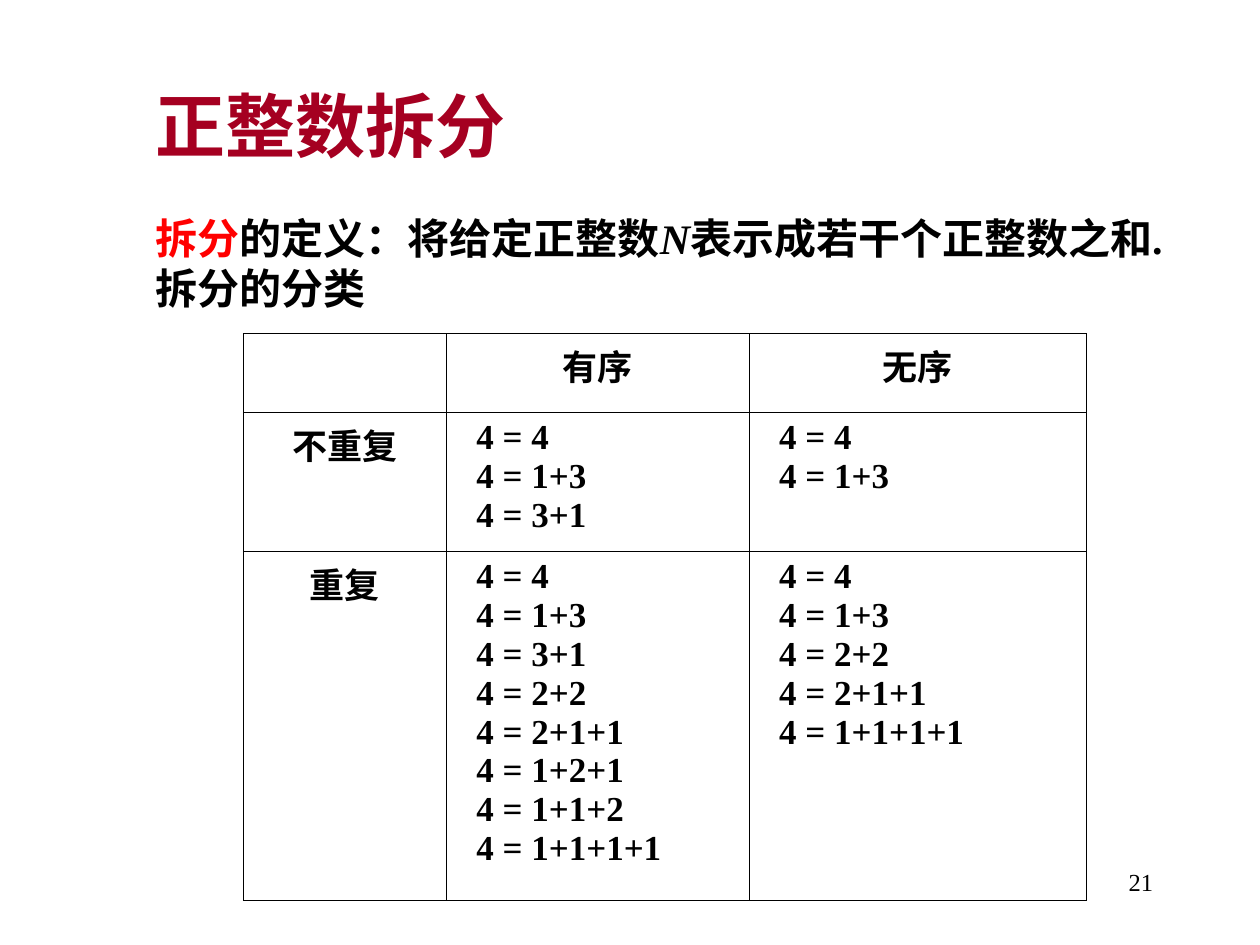
"""Build the slide on partitions of a positive integer."""
import pptx
import pptx.chart.data
import pptx.dml.color
import pptx.enum.text
import pptx.oxml
import pptx.oxml.ns
import pptx.util

Pt = pptx.util.Pt
RGBColor = pptx.dml.color.RGBColor
ALIGN = pptx.enum.text.PP_ALIGN
ANCHOR = pptx.enum.text.MSO_ANCHOR

THEME = {
    "latin": "Times New Roman",
    "cjk": "Noto Sans CJK SC",
    "title": "A50021",
    "accent": "FF0000",
    "text": "000000",
    "title_size": 40,
    "body_size": 24,
    "table_size": 20,
    "number_size": 14,
    "border": 0.45,
}

TITLE = [[("正整数拆分", "title", False)]]
DEFINITION = [
    [
        ("拆分", "accent", False),
        ("的定义：将给定正整数", "text", False),
        ("N", "text", True),
        ("表示成若干个正整数之和.", "text", False),
    ],
    [("拆分的分类", "text", False)],
]
PAGE_NUMBER = [[("21", "text", False)]]

ORDERS = ["有序", "无序"]
PARTITIONS = [
    ("不重复", [["4", "1+3", "3+1"], ["4", "1+3"]]),
    ("重复", [
        ["4", "1+3", "3+1", "2+2", "2+1+1", "1+2+1", "1+1+2", "1+1+1+1"],
        ["4", "1+3", "2+2", "2+1+1", "1+1+1+1"],
    ]),
]
COLUMN_WIDTHS = [116, 173, 193]
ROW_HEIGHTS = [45, 79.5, 199.5]
TABLE_LEFT, TABLE_TOP = 139, 190.5
SUM_INDENT = 10


def add_run(paragraph, text, size, color="text", bold=True, italic=False, latin="latin"):
    run = paragraph.add_run()
    run.text = text
    run.font.size = Pt(size)
    run.font.bold = bold
    run.font.italic = italic
    run.font.name = THEME[latin]
    run.font.color.rgb = RGBColor.from_string(THEME[color])
    east_asian = pptx.oxml.parse_xml(
        f'<a:ea {pptx.oxml.ns.nsdecls("a")} typeface="{THEME["cjk"]}"/>')
    run.font._element.find(pptx.oxml.ns.qn("a:latin")).addnext(east_asian)


def next_paragraph(frame, index):
    return frame.add_paragraph() if index else frame.paragraphs[0]


def add_text(slide, box, paragraphs, size, anchor=ANCHOR.MIDDLE, align=ALIGN.LEFT,
             bold=True, line_height=None):
    frame = slide.shapes.add_textbox(*map(Pt, box)).text_frame
    frame.word_wrap = True
    frame.vertical_anchor = anchor
    for index, runs in enumerate(paragraphs):
        paragraph = next_paragraph(frame, index)
        paragraph.alignment = align
        if line_height:
            paragraph.line_spacing = Pt(line_height)
        for text, color, italic in runs:
            add_run(paragraph, text, size, color, bold, italic)


def style_cell(cell):
    cell.fill.background()
    properties = cell._tc.get_or_add_tcPr()
    for index, side in enumerate(("lnL", "lnR", "lnT", "lnB")):
        properties.insert(index, pptx.oxml.parse_xml(
            f'<a:{side} {pptx.oxml.ns.nsdecls("a")} w="{Pt(THEME["border"])}">'
            f'<a:solidFill><a:srgbClr val="{THEME["text"]}"/></a:solidFill></a:{side}>'))


def fill_heading(cell, text):
    paragraph = cell.text_frame.paragraphs[0]
    paragraph.alignment = ALIGN.CENTER
    add_run(paragraph, text, THEME["table_size"], latin="cjk")


def fill_sums(cell, sums):
    cell.margin_left = Pt(7.2 + SUM_INDENT)
    for index, terms in enumerate(sums):
        add_run(next_paragraph(cell.text_frame, index), f"4 = {terms}", THEME["table_size"])


def add_partition_table(slide):
    table = slide.shapes.add_table(
        len(ROW_HEIGHTS), len(COLUMN_WIDTHS), Pt(TABLE_LEFT), Pt(TABLE_TOP),
        Pt(sum(COLUMN_WIDTHS)), Pt(sum(ROW_HEIGHTS))).table
    table.first_row = table.horz_banding = False
    for column, width in zip(table.columns, COLUMN_WIDTHS):
        column.width = Pt(width)
    for row, height in zip(table.rows, ROW_HEIGHTS):
        row.height = Pt(height)
    for cell in table.iter_cells():
        style_cell(cell)
    for column, order in enumerate(ORDERS, 1):
        fill_heading(table.cell(0, column), order)
    for row, (repetition, groups) in enumerate(PARTITIONS, 1):
        fill_heading(table.cell(row, 0), repetition)
        for column, sums in enumerate(groups, 1):
            fill_sums(table.cell(row, column), sums)


def main():
    deck = pptx.Presentation()
    deck.slide_width, deck.slide_height = Pt(720), Pt(540)
    slide = deck.slides.add_slide(deck.slide_layouts[6])
    add_partition_table(slide)
    add_text(slide, (82, 26, 612, 90), TITLE, THEME["title_size"])
    add_text(slide, (82, 103.5, 601, 93.6), DEFINITION, THEME["body_size"], line_height=28.8)
    add_text(slide, (516, 492, 150, 36), PAGE_NUMBER, THEME["number_size"],
             ANCHOR.TOP, ALIGN.RIGHT, bold=False)
    deck.save("out.pptx")


if __name__ == "__main__":
    main()
